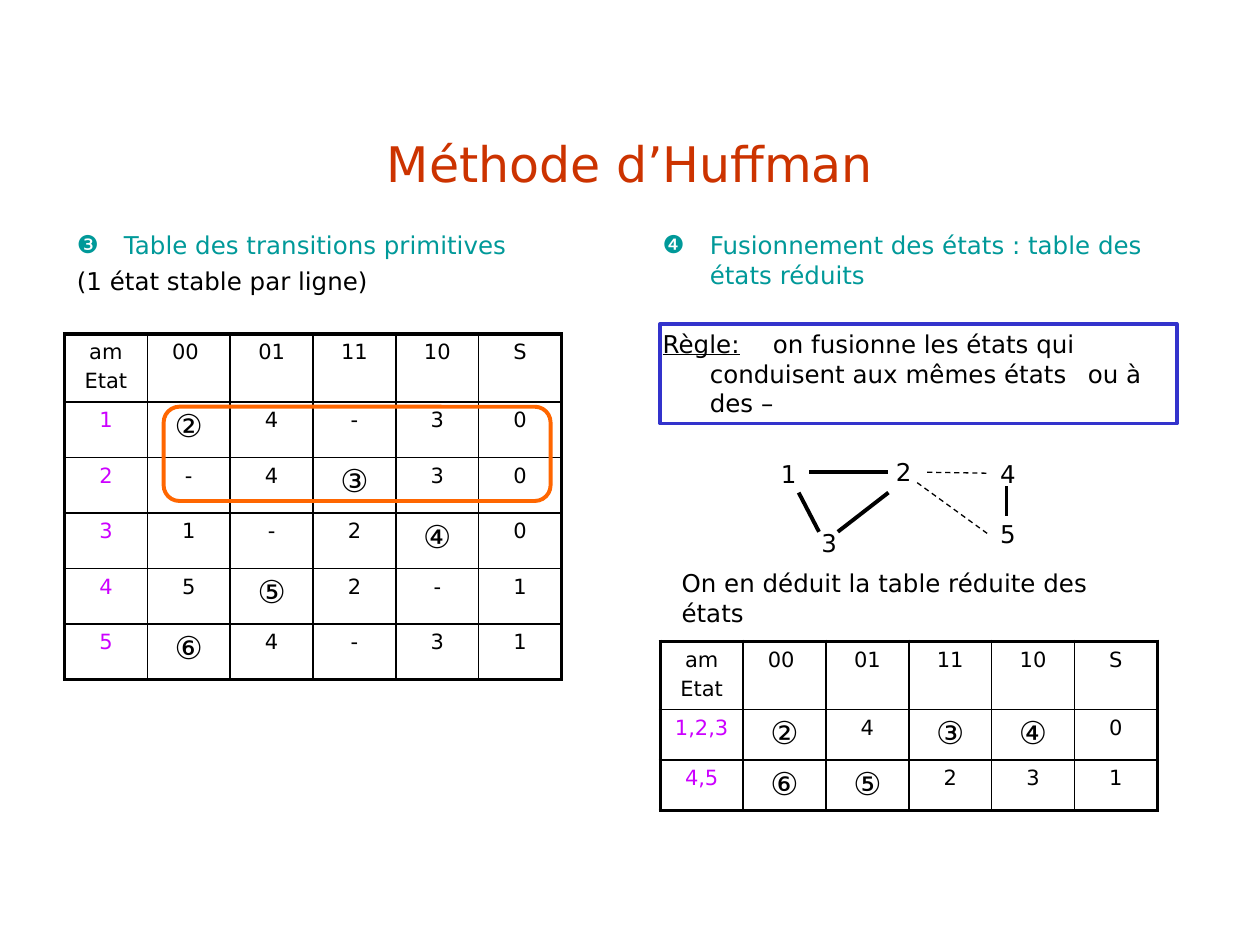
from dataclasses import dataclass
from typing import Optional

from lxml.etree import SubElement
from pptx import Presentation
from pptx.dml.color import RGBColor as RGB
from pptx.enum.dml import MSO_LINE_DASH_STYLE as Dash
from pptx.enum.shapes import MSO_CONNECTOR as Connector, MSO_SHAPE as Shape
from pptx.enum.text import MSO_ANCHOR as Anchor, MSO_AUTO_SIZE as AutoSize, PP_ALIGN as Align
from pptx.oxml import parse_xml
from pptx.oxml.ns import nsdecls, qn
from pptx.util import Cm, Pt


@dataclass(frozen=True)
class Theme:
    font: str = "DejaVu Sans"
    title: str = "CC3300"
    heading: str = "009999"
    text: str = "000000"
    state: str = "CC00FF"
    rule: str = "3333CC"
    merge: str = "FF6600"
    title_size: float = 28
    body_size: float = 14
    cell_size: float = 12
    stable_size: float = 18
    thick: float = 2.25
    medium: float = 1
    thin: float = 0.75


@dataclass(frozen=True)
class Box:
    """Left, top, width and height in centimetres."""
    x: float
    y: float
    w: float
    h: float

    def lengths(self) -> tuple:
        return Cm(self.x), Cm(self.y), Cm(self.w), Cm(self.h)


@dataclass(frozen=True)
class Node:
    label: str
    x: float
    y: float


@dataclass(frozen=True)
class Link:
    x1: float
    y1: float
    x2: float
    y2: float
    dashed_to: Optional[str] = None


@dataclass(frozen=True)
class StateTable:
    x: float
    y: float
    row_height: float
    rows: list


T = Theme()
HEADER_HEIGHT, COLUMN_WIDTH = 1.37, 1.67
HANGING = Cm(0.95)
HEADER = ["am\nEtat", "00 ", "01", "11", "10", "S"]
STABLE_STATES = "②③④⑤⑥"

TABLES = [
    StateTable(1.3, 6.73, 1.12, [
        ["1", "②", "4", "-", "3", "0"],
        ["2", "-", "4", "③", "3", "0"],
        ["3", "1", "-", "2", "④", "0"],
        ["4", "5", "⑤", "2", "-", "1"],
        ["5", "⑥", "4", "-", "3", "1"],
    ]),
    StateTable(13.31, 12.93, 1.02, [
        ["1,2,3", "②", "4", "③", "④", "0"],
        ["4,5", "⑥", "⑤", "2", "3", "1"],
    ]),
]
NODES = [
    Node("1", 15.49, 9.12), Node("2", 17.81, 9.09), Node("3", 16.31, 10.52),
    Node("4", 19.91, 9.12), Node("5", 19.91, 10.34),
]
LINKS = [
    Link(16.31, 9.52, 17.91, 9.52), Link(16.1, 9.93, 16.51, 10.72),
    Link(17.91, 9.93, 16.89, 10.72), Link(20.29, 9.8, 20.29, 10.41),
    Link(18.69, 9.52, 19.91, 9.54, "4"), Link(18.49, 9.73, 19.91, 10.76, "5"),
]


def style(p, size: float, color: str) -> None:
    for r in p.runs:
        r.font.name = T.font
        r.font.size = Pt(size)
        r.font.color.rgb = RGB.from_string(color)


def add_text(s, box: Box, text: str, size: float = T.body_size,
             color: str = T.text, grow: bool = False):
    sp = s.shapes.add_textbox(*box.lengths())
    tf = sp.text_frame
    tf.word_wrap = True
    if grow:
        tf.auto_size = AutoSize.SHAPE_TO_FIT_TEXT
    tf.text = text
    for p in tf.paragraphs:
        style(p, size, color)
    return sp


def hang(p, bullet: Optional[str] = None) -> None:
    pPr = p._p.get_or_add_pPr()
    pPr.set("marL", str(HANGING))
    pPr.set("indent", str(-HANGING))
    if bullet:
        SubElement(pPr, qn("a:buFont"), typeface=T.font)
        SubElement(pPr, qn("a:buChar"), char=bullet)


def add_section(s, box: Box, bullet: str, heading: str, body: str, gap: float):
    """Adds a bulleted heading with one paragraph below it, which is returned."""
    tf = add_text(s, box, f"{heading}\n{body}").text_frame
    first, second = tf.paragraphs
    hang(first, bullet)
    style(first, T.body_size, T.heading)
    hang(second)
    second.space_before = Pt(gap)
    return second


def set_borders(cell, widths: dict) -> None:
    tcPr = cell._tc.get_or_add_tcPr()
    for i, (side, width) in enumerate(widths.items()):
        tcPr.insert(i, parse_xml(
            f'<a:ln{side} {nsdecls("a")} w="{Pt(width)}"><a:solidFill>'
            f'<a:srgbClr val="{T.text}"/></a:solidFill></a:ln{side}>'))


def add_state_table(s, spec_table: StateTable) -> None:
    rows = [HEADER] + spec_table.rows
    heights = [HEADER_HEIGHT] + [spec_table.row_height] * len(spec_table.rows)
    last_row, last_col = len(rows) - 1, len(HEADER) - 1
    box = Box(spec_table.x, spec_table.y, COLUMN_WIDTH * len(HEADER), sum(heights))
    table = s.shapes.add_table(len(rows), len(HEADER), *box.lengths()).table
    table.first_row = table.horz_banding = False
    for column in table.columns:
        column.width = Cm(COLUMN_WIDTH)
    for i, (row, height) in enumerate(zip(rows, heights)):
        table.rows[i].height = Cm(height)
        for j, text in enumerate(row):
            cell = table.cell(i, j)
            cell.fill.background()
            edges = {"L": j == 0, "R": j == last_col, "T": i == 0, "B": i == last_row}
            set_borders(cell, {k: T.thick if outer else T.medium
                               for k, outer in edges.items()})
            cell.text_frame.text = text
            size = T.stable_size if text in STABLE_STATES else T.cell_size
            for n, p in enumerate(cell.text_frame.paragraphs):
                p.alignment = Align.CENTER
                if n:
                    p.space_before = Pt(2.4)
                style(p, size, T.state if i and j == 0 else T.text)


def add_outline(s, shape: Shape, box: Box, color: str) -> None:
    sp = s.shapes.add_shape(shape, *box.lengths())
    sp.shadow.inherit = False
    sp.fill.background()
    sp.line.color.rgb = RGB.from_string(color)
    sp.line.width = Pt(T.thick)


def add_link(s, link: Link, nodes: dict) -> None:
    line = s.shapes.add_connector(Connector.STRAIGHT, Cm(link.x1), Cm(link.y1),
                                  Cm(link.x2), Cm(link.y2))
    line.line.color.rgb = RGB.from_string(T.text)
    line.line.width = Pt(T.thin if link.dashed_to else T.thick)
    if link.dashed_to:
        line.line.dash_style = Dash.DASH
        line.end_connect(nodes[link.dashed_to], 1)
    SubElement(line._element.spPr, qn("a:effectLst"))


def main() -> None:
    prs = Presentation()
    prs.slide_width, prs.slide_height = Cm(25.4), Cm(19.05)
    s = prs.slides.add_slide(prs.slide_layouts[6])

    title = add_text(s, Box(1.9, 1.7, 21.6, 3.18), "Méthode d’Huffman", T.title_size, T.title)
    title.text_frame.vertical_anchor = Anchor.MIDDLE
    title.text_frame.paragraphs[0].alignment = Align.CENTER

    add_section(s, Box(1.3, 4.52, 10.59, 1), "❸", "Table des transitions primitives",
                "(1 état stable par ligne)", 3.3)
    rule = add_section(s, Box(13.11, 4.52, 10.59, 4.39), "❹",
                       "Fusionnement des états : table des états réduits", "Règle:", 22.8)
    rule.runs[0].font.underline = True
    rule.add_run().text = " \ton fusionne les états qui \tconduisent aux mêmes états \tou à des –"
    style(rule, T.body_size, T.text)
    add_outline(s, Shape.RECTANGLE, Box(13.31, 6.53, 10.41, 2.01), T.rule)

    for table in TABLES:
        add_state_table(s, table)
    add_outline(s, Shape.ROUNDED_RECTANGLE, Box(3.3, 8.2, 7.8, 1.9), T.merge)

    nodes = {n.label: add_text(s, Box(n.x, n.y, 1.8, 0.84), n.label, grow=True) for n in NODES}
    for link in LINKS:
        add_link(s, link, nodes)
    add_text(s, Box(13.49, 11.33, 10.01, 1.45), "On en déduit la table réduite des états", grow=True)

    prs.save("out.pptx")


if __name__ == "__main__":
    main()
